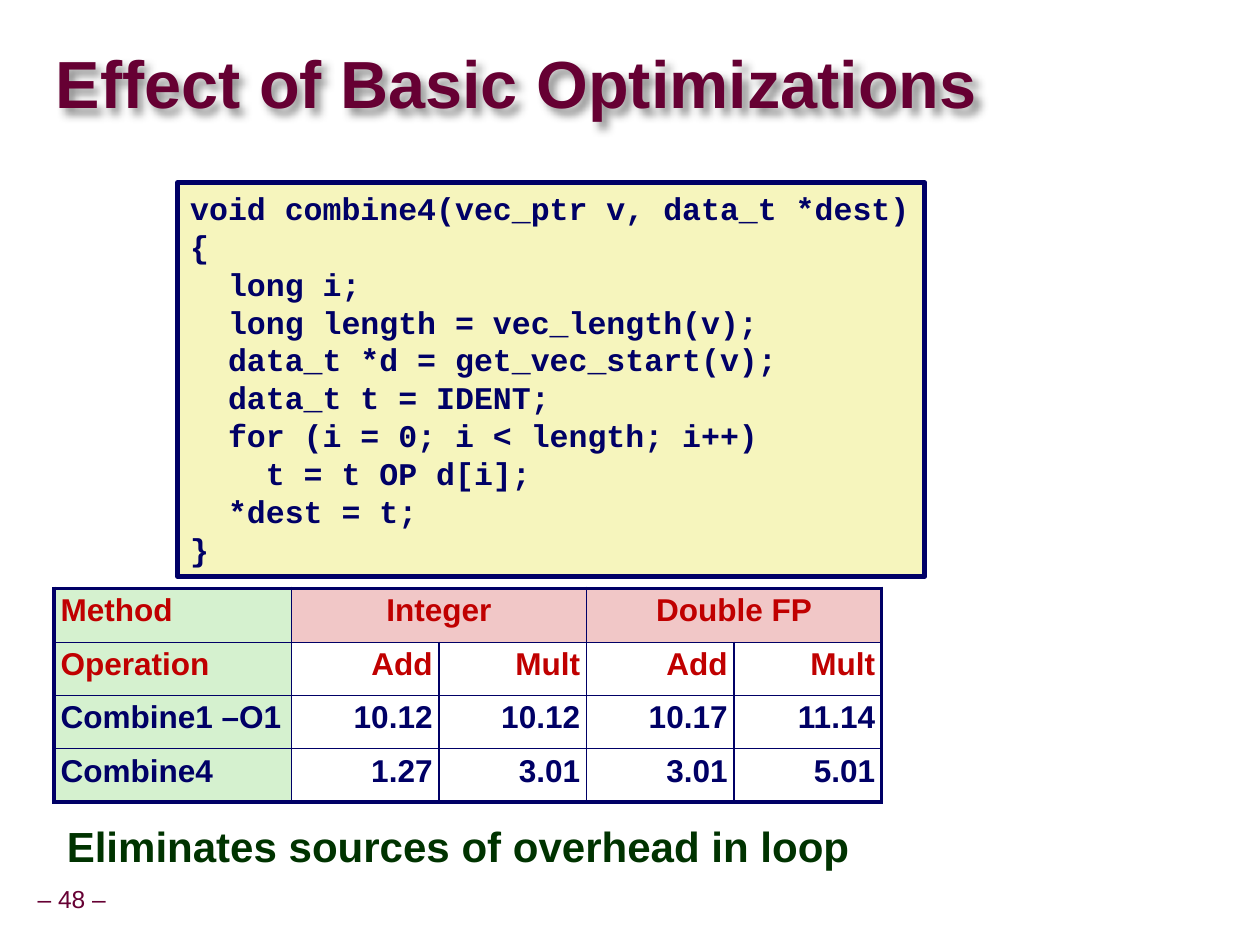
"""Build the slide on the effect of basic optimizations."""
from dataclasses import dataclass

from lxml import etree
from pptx import Presentation
from pptx import util as u
from pptx.dml.color import RGBColor
from pptx.enum import shapes, text
from pptx.oxml import ns

MAROON = RGBColor(0x66, 0x00, 0x33)
NAVY = RGBColor(0x00, 0x00, 0x66)
GREEN = RGBColor(0x00, 0x33, 0x00)
RED = RGBColor(0xC0, 0x00, 0x00)
CREAM = RGBColor(0xF6, 0xF5, 0xBD)
MINT = RGBColor(0xD5, 0xF1, 0xCF)
PINK = RGBColor(0xF1, 0xC7, 0xC7)

LEFT, CENTER, RIGHT = text.PP_ALIGN.LEFT, text.PP_ALIGN.CENTER, text.PP_ALIGN.RIGHT
THIN, THICK = u.Pt(1), u.Pt(2.25)
SMALL_INSET = u.Cm(0.13)

CODE = """void combine4(vec_ptr v, data_t *dest)
{
  long i;
  long length = vec_length(v);
  data_t *d = get_vec_start(v);
  data_t t = IDENT;
  for (i = 0; i < length; i++)
    t = t OP d[i];
  *dest = t;
}"""

COLUMN_WIDTHS = [4.78] + [2.97] * 4
ROW_HEIGHTS = [1.09] + [1.07] * 3
TIMINGS = [
    ["Method", "Integer", "", "Double FP", ""],
    ["Operation", "Add", "Mult", "Add", "Mult"],
    ["Combine1 –O1", "10.12", "10.12", "10.17", "11.14"],
    ["Combine4", "1.27", "3.01", "3.01", "5.01"],
]


@dataclass(frozen=True)
class Box:
    """A place on the slide, in centimetres."""
    left: float
    top: float
    width: float
    height: float

    def lengths(self) -> list:
        return [u.Cm(n) for n in (self.left, self.top, self.width, self.height)]


def place(shape, box: Box) -> None:
    shape.left, shape.top, shape.width, shape.height = box.lengths()


def write(frame, content: str, *, size: float, color: RGBColor, font: str = "Arial",
          bold: bool = True, align=LEFT, spacing: float = 1.0,
          anchor=text.MSO_ANCHOR.TOP, wrap: bool = True, inset=None) -> None:
    frame.auto_size = text.MSO_AUTO_SIZE.NONE
    frame.word_wrap = wrap
    frame.vertical_anchor = anchor
    if inset is not None:
        frame.margin_left = frame.margin_right = inset
        frame.margin_top = frame.margin_bottom = inset
    frame.text = content
    for paragraph in frame.paragraphs:
        paragraph.alignment = align
        paragraph.line_spacing = spacing
        paragraph.space_before = u.Pt(0)
        for run in paragraph.runs:
            run.font.name, run.font.size, run.font.bold = font, u.Pt(size), bold
            run.font.color.rgb = color


def add_title_shadow(title) -> None:
    effects = etree.SubElement(title.element.spPr, ns.qn("a:effectLst"))
    shadow = etree.SubElement(effects, ns.qn("a:outerShdw"), blurRad="63500",
                              dist="50800", dir="2700000", algn="ctr", rotWithShape="0")
    tone = etree.SubElement(shadow, ns.qn("a:srgbClr"), val="000000")
    etree.SubElement(tone, ns.qn("a:alpha"), val="43000")


def border(cell, left: int, right: int, top: int, bottom: int) -> None:
    properties = cell._tc.get_or_add_tcPr()
    for order, (side, width) in enumerate(zip("LRTB", (left, right, top, bottom))):
        line = etree.Element(ns.qn(f"a:ln{side}"), w=str(width))
        fill = etree.SubElement(line, ns.qn("a:solidFill"))
        etree.SubElement(fill, ns.qn("a:srgbClr"), val=str(NAVY))
        properties.insert(order, line)


def add_timings(slide, box: Box) -> None:
    rows, columns = len(TIMINGS), len(COLUMN_WIDTHS)
    timings = slide.shapes.add_table(rows, columns, *box.lengths()).table
    timings.horz_banding = timings.first_row = False
    for column, width in zip(timings.columns, COLUMN_WIDTHS):
        column.width = u.Cm(width)
    for row, height in zip(timings.rows, ROW_HEIGHTS):
        row.height = u.Cm(height)
    for first in (1, 3):
        timings.cell(0, first).merge(timings.cell(0, first + 1))
    for r, values in enumerate(TIMINGS):
        for c, value in enumerate(values):
            cell = timings.cell(r, c)
            cell.margin_left = cell.margin_right = SMALL_INSET
            cell.margin_top = cell.margin_bottom = SMALL_INSET
            if c == 0 or r == 0:
                cell.fill.solid()
                cell.fill.fore_color.rgb = MINT if c == 0 else PINK
            else:
                cell.fill.background()
            last = c + (cell.span_width if cell.is_merge_origin else 1) == columns
            border(cell, THICK if c == 0 else THIN, THICK if last else THIN,
                   THICK if r == 0 else THIN, THICK if r == rows - 1 else THIN)
            if value:
                write(cell.text_frame, value, size=18, spacing=0.95,
                      color=RED if r < 2 else NAVY,
                      align=LEFT if c == 0 else CENTER if r == 0 else RIGHT)


def add_code(slide, box: Box) -> None:
    code = slide.shapes.add_shape(shapes.MSO_SHAPE.RECTANGLE, *box.lengths())
    code.shadow.inherit = False
    code.fill.solid()
    code.fill.fore_color.rgb = CREAM
    code.line.color.rgb = NAVY
    code.line.width = u.Pt(3)
    write(code.text_frame, CODE, size=18, color=NAVY, font="Courier New", wrap=False)


def add_conclusion(conclusion, box: Box) -> None:
    place(conclusion, box)
    write(conclusion.text_frame, "Eliminates sources of overhead in loop",
          size=24, color=GREEN, spacing=0.95)
    properties = conclusion.text_frame.paragraphs[0]._p.get_or_add_pPr()
    properties.set("marL", str(u.Cm(1.07)))
    properties.set("indent", str(-u.Cm(1.07)))
    etree.SubElement(properties, ns.qn("a:buNone"))


def main() -> None:
    deck = Presentation()
    deck.slide_width, deck.slide_height = u.Cm(25.37), u.Cm(19.02)
    slide = deck.slides.add_slide(deck.slide_layouts[1])

    page_number = slide.shapes.add_textbox(*Box(0.58, 17.73, 1.73, 0.81).lengths())
    write(page_number.text_frame, "– 48 –", size=14, color=MAROON, bold=False,
          align=CENTER, spacing=0.9, anchor=text.MSO_ANCHOR.MIDDLE, wrap=False,
          inset=SMALL_INSET)

    title = slide.shapes.title
    place(title, Box(1.12, 0.69, 24.18, 2.16))
    write(title.text_frame, "Effect of Basic Optimizations", size=38, color=MAROON,
          spacing=0.87, anchor=text.MSO_ANCHOR.MIDDLE, inset=0)
    add_title_shadow(title)

    add_conclusion(slide.placeholders[1], Box(1.09, 16.46, 21.89, 1.5))
    add_code(slide, Box(3.58, 3.68, 15.04, 7.92))
    add_timings(slide, Box(1.09, 11.84, sum(COLUMN_WIDTHS), sum(ROW_HEIGHTS)))
    deck.save("out.pptx")


if __name__ == "__main__":
    main()
